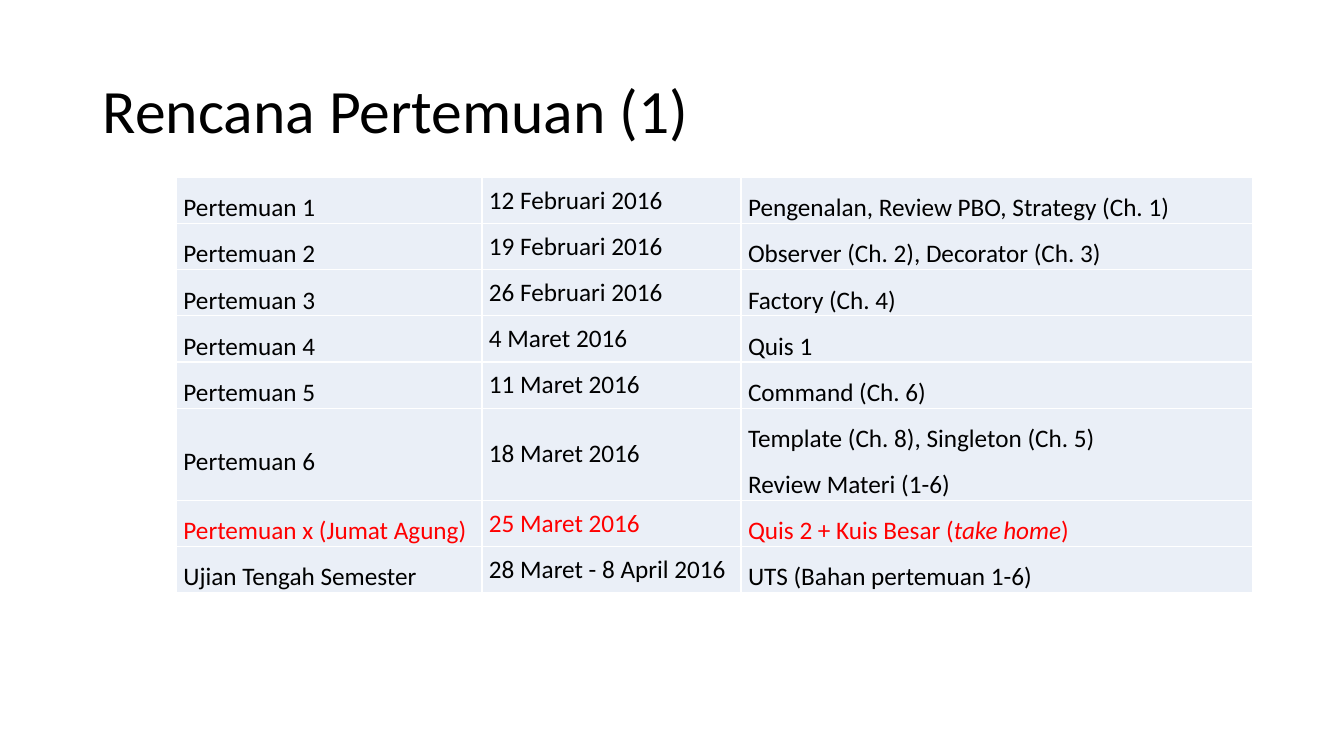
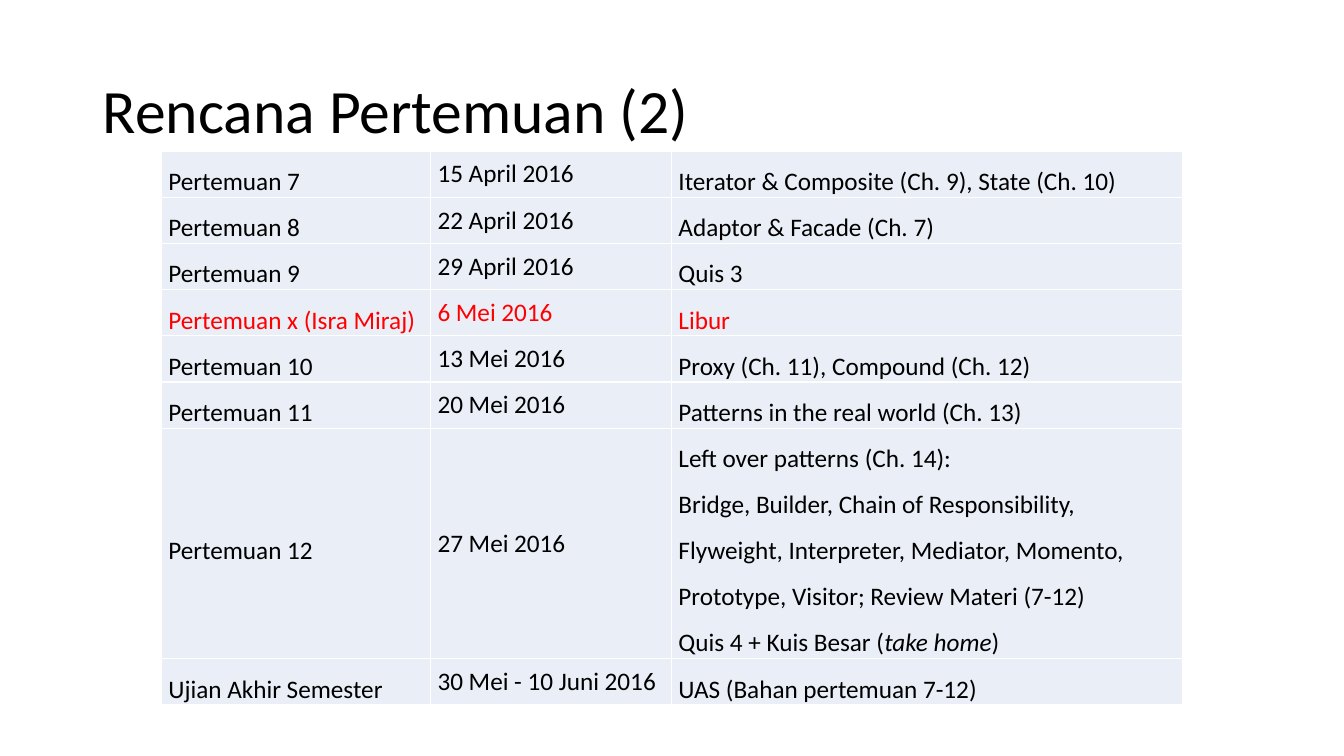
from dataclasses import dataclass

from lxml import etree
from pptx import Presentation
from pptx import util as u
from pptx.dml.color import RGBColor
from pptx.enum import text
from pptx.oxml import ns

BLACK = RGBColor(0x00, 0x00, 0x00)
RED = RGBColor(0xFF, 0x00, 0x00)
WHITE = RGBColor(0xFF, 0xFF, 0xFF)
PALE_BLUE = RGBColor(0xEA, 0xEF, 0xF7)
FONT = "Calibri"
TITLE_SIZE = u.Pt(44)
CELL_SIZE = u.Pt(18)
CELL_SPACING = 1.5
TITLE_ONLY = 5
PX_PER_INCH = 100
LINE_HEIGHT = 45
CELL_MARGIN = 7


@dataclass(frozen=True)
class Span:
    text: str
    italic: bool = False


@dataclass(frozen=True)
class Line:
    spans: tuple[Span, ...]
    spacing: float = CELL_SPACING


@dataclass(frozen=True)
class Meeting:
    name: str
    date: str
    topics: tuple[Line, ...]
    color: RGBColor = BLACK


@dataclass(frozen=True)
class Plan:
    title: str
    left: int
    top: int
    columns: tuple[int, ...]
    meetings: tuple[Meeting, ...]


def px(length: int) -> u.Emu:
    return u.Emu(length * u.Inches(1) // PX_PER_INCH)


def plain(words: str, spacing: float = CELL_SPACING) -> Line:
    return Line((Span(words),), spacing)


def topics(*words: str) -> tuple[Line, ...]:
    return tuple(plain(line) for line in words)


def take_home_quiz(number: int) -> Line:
    return Line((Span(f"Quis {number} + Kuis Besar ("), Span("take home", True), Span(")")))


PLANS = (
    Plan("Rencana Pertemuan (1)", 175, 176, (303, 257, 507), (
        Meeting("Pertemuan 1", "12 Februari 2016", topics("Pengenalan, Review PBO, Strategy (Ch. 1)")),
        Meeting("Pertemuan 2", "19 Februari 2016", topics("Observer (Ch. 2), Decorator (Ch. 3)")),
        Meeting("Pertemuan 3", "26 Februari 2016", topics("Factory (Ch. 4)")),
        Meeting("Pertemuan 4", "4 Maret 2016", topics("Quis 1")),
        Meeting("Pertemuan 5", "11 Maret 2016", topics("Command (Ch. 6)")),
        Meeting("Pertemuan 6", "18 Maret 2016",
                topics("Template (Ch. 8), Singleton (Ch. 5)", "Review Materi (1-6)")),
        Meeting("Pertemuan x (Jumat Agung)", "25 Maret 2016", (take_home_quiz(2),), RED),
        Meeting("Ujian Tengah Semester", "28 Maret - 8 April 2016", topics("UTS (Bahan pertemuan 1-6)")),
    )),
    Plan("Rencana Pertemuan (2)", 160, 150, (267, 239, 507), (
        Meeting("Pertemuan 7", "15 April 2016", topics("Iterator & Composite (Ch. 9), State (Ch. 10)")),
        Meeting("Pertemuan 8", "22 April 2016", topics("Adaptor & Facade (Ch. 7)")),
        Meeting("Pertemuan 9", "29 April 2016", topics("Quis 3")),
        Meeting("Pertemuan x (Isra Miraj)", "6 Mei 2016", topics("Libur"), RED),
        Meeting("Pertemuan 10", "13 Mei 2016", topics("Proxy (Ch. 11), Compound (Ch. 12)")),
        Meeting("Pertemuan 11", "20 Mei 2016", topics("Patterns in the real world (Ch. 13)")),
        Meeting("Pertemuan 12", "27 Mei 2016", (
            *topics(
                "Left over patterns (Ch. 14):",
                "Bridge, Builder, Chain of Responsibility,",
                "Flyweight, Interpreter, Mediator, Momento, Prototype, Visitor; Review Materi (7-12)",
            ),
            take_home_quiz(4),
        )),
        Meeting("Ujian Akhir Semester", "30 Mei - 10 Juni 2016", topics("UAS (Bahan pertemuan 7-12)")),
    )),
)


def write_lines(frame, lines: tuple[Line, ...], size: u.Pt, color: RGBColor) -> None:
    for index, line in enumerate(lines):
        para = frame.add_paragraph() if index else frame.paragraphs[0]
        para.alignment = text.PP_ALIGN.LEFT
        para.line_spacing = line.spacing
        for span in line.spans:
            run = para.add_run()
            run.text = span.text
            run.font.name = FONT
            run.font.size = size
            run.font.bold = False
            run.font.italic = span.italic
            run.font.color.rgb = color


def add_borders(cell) -> None:
    properties = cell._tc.get_or_add_tcPr()
    for side in ("lnL", "lnR", "lnT", "lnB"):
        border = etree.SubElement(properties, ns.qn(f"a:{side}"), w=str(u.Pt(1)))
        fill = etree.SubElement(border, ns.qn("a:solidFill"))
        etree.SubElement(fill, ns.qn("a:srgbClr"), val=str(WHITE))


def fill_cell(cell, lines: tuple[Line, ...], color: RGBColor) -> None:
    add_borders(cell)
    cell.fill.solid()
    cell.fill.fore_color.rgb = PALE_BLUE
    cell.margin_left = cell.margin_right = px(CELL_MARGIN)
    cell.margin_top = cell.margin_bottom = 0
    cell.vertical_anchor = text.MSO_ANCHOR.MIDDLE
    write_lines(cell.text_frame, lines, CELL_SIZE, color)


def add_title(page, words: str) -> None:
    title = page.shapes.title
    title.left, title.top, title.width, title.height = map(px, (92, 40, 1150, 145))
    frame = title.text_frame
    frame.auto_size = text.MSO_AUTO_SIZE.NONE
    frame.vertical_anchor = text.MSO_ANCHOR.MIDDLE
    write_lines(frame, (plain(words, 0.9),), TITLE_SIZE, BLACK)


def add_schedule(page, plan: Plan) -> None:
    heights = [LINE_HEIGHT * len(meeting.topics) for meeting in plan.meetings]
    table = page.shapes.add_table(
        len(plan.meetings), len(plan.columns),
        px(plan.left), px(plan.top), px(sum(plan.columns)), px(sum(heights)),
    ).table
    table.first_row = table.horz_banding = False
    for column, width in zip(table.columns, plan.columns):
        column.width = px(width)
    for row, height, meeting in zip(table.rows, heights, plan.meetings):
        row.height = px(height)
        contents = (topics(meeting.name), (plain(meeting.date, 1.0),), meeting.topics)
        for cell, lines in zip(row.cells, contents):
            fill_cell(cell, lines, meeting.color)


def main() -> None:
    deck = Presentation()
    deck.slide_width, deck.slide_height = px(1333), px(750)
    for plan in PLANS:
        page = deck.slides.add_slide(deck.slide_layouts[TITLE_ONLY])
        add_title(page, plan.title)
        add_schedule(page, plan)
    deck.save("out.pptx")


if __name__ == "__main__":
    main()
